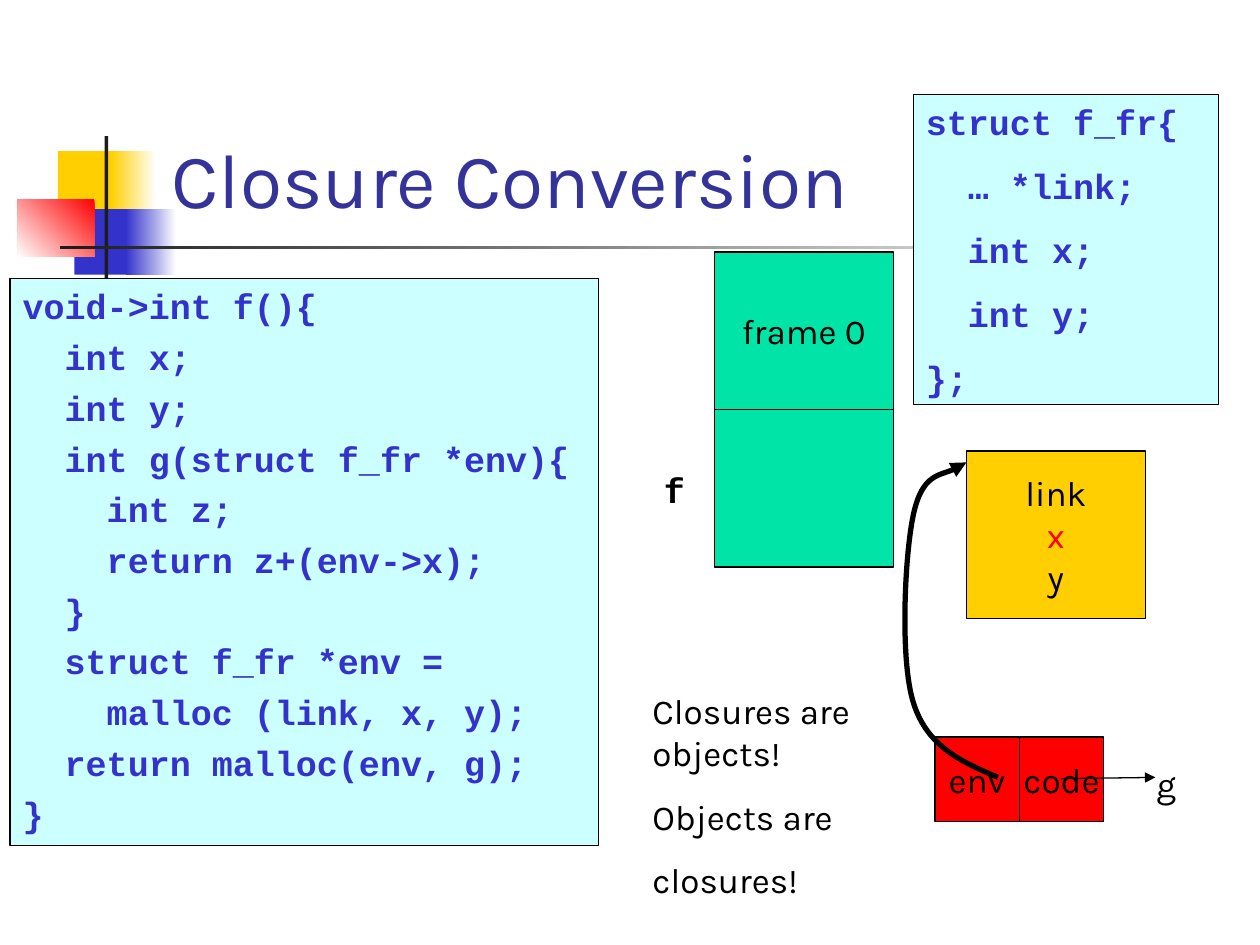
from lxml import etree
from pptx import Presentation
from pptx.dml.color import RGBColor
from pptx.enum.shapes import MSO_CONNECTOR, MSO_SHAPE
from pptx.enum.text import MSO_ANCHOR, MSO_AUTO_SIZE, PP_ALIGN
from pptx.oxml.ns import qn
from pptx.util import Inches, Pt

COLORS = {
    "black": "000000", "white": "FFFFFF", "ink": "1C1C1C", "title": "333399",
    "blue": "3333CC", "red": "FF0000", "gold": "FFCF01", "green": "00E4A8",
    "pale": "CCFFFF",
}
SANS, MONO = "Karla", "Courier New"

TITLE = "Closure Conversion"
CLOSURE_CODE = [
    "void->int f(){",
    "  int x;",
    "  int y;",
    "  int g(struct f_fr *env){",
    "    int z;",
    "    return z+(env->x);",
    "  }",
    "  struct f_fr *env =",
    "    malloc (link, x, y);",
    "  return malloc(env, g);",
    "}",
]
STRUCT_CODE = ["struct f_fr{", "  … *link;", "  int x;", "  int y;", "};"]
REMARKS = ["Closures are objects!", "Objects are", "closures!"]

ORNAMENTS = [
    ((0.46, 1.2, 0.48, 0.52), ["gold"], 0),
    ((0.88, 1.2, 0.36, 0.52), ["white", "gold"], 180),
    ((0.59, 1.66, 0.46, 0.52), ["blue"], 0),
    ((1, 1.66, 0.4, 0.52), ["white", "blue"], 180),
    ((0.14, 1.58, 0.61, 0.46), ["red", "white"], 225),
    ((0.83, 1.08, 0.03, 1.15), ["ink"], 0),
    ((0.48, 1.95, 9, 0.03), ["white", "ink"], 180),
]

FRAME_LEFT, FRAME_TOP, FRAME_WIDTH, FRAME_HEIGHT = 5.67, 2, 1.42, 1.25
CELL_LEFT, CELL_TOP, CELL_SIZE = 7.42, 5.85, 0.67
DIAGRAM = [
    *[((FRAME_LEFT, FRAME_TOP + row * FRAME_HEIGHT, FRAME_WIDTH, FRAME_HEIGHT), "green", lines)
      for row, lines in enumerate([["frame 0"], []])],
    ((7.67, 3.58, FRAME_WIDTH, 1.33), "gold", ["link", "x", "y"]),
    *[((CELL_LEFT + column * CELL_SIZE, CELL_TOP, CELL_SIZE, CELL_SIZE), "red", [name])
      for column, name in enumerate(["env", "code"])],
]
LABELS = [
    ((5.17, 3.67, 0.33, 0.44), ["f"], MONO, True),
    ((9.08, 6, 0.5, 0.44), ["g"], SANS, False),
    ((5.08, 5.42, 2.08, 1.78), REMARKS, SANS, False),
]
CODE_ARROW = [(8.42, 6.18), (9.17, 6.17)]
ENV_CURVE = [
    (7.92, 6.17),
    (7.64, 6.05), (7.36, 5.93), (7.25, 5.58),
    (7.14, 5.24), (7.18, 4.4), (7.25, 4.08),
    (7.32, 3.76), (7.6, 3.74), (7.67, 3.67),
]


def color(name):
    return RGBColor.from_string(COLORS[name])


def place(shape, area):
    shape.left, shape.top, shape.width, shape.height = map(Inches, area)


def outline(shape, width=0.75):
    shape.line.color.rgb = color("black")
    shape.line.width = Pt(width)


def paint(shape, name):
    shape.fill.solid()
    shape.fill.fore_color.rgb = color(name)


def add_box(page, area):
    box = page.shapes.add_shape(MSO_SHAPE.RECTANGLE, *map(Inches, area))
    box.shadow.inherit = False
    return box


def add_ornament(page, area, names, angle):
    box = add_box(page, area)
    box.line.fill.background()
    if len(names) == 1:
        paint(box, names[0])
        return
    box.fill.gradient()
    box.fill.gradient_angle = angle
    for stop, name in zip(box.fill.gradient_stops, names):
        stop.color.rgb = color(name)


def write(shape, lines, font=SANS, ink="black", bold=False, size=20, gap=0,
          align=PP_ALIGN.LEFT, anchor=MSO_ANCHOR.TOP, wrap=True):
    frame = shape.text_frame
    frame.text = "\n".join(lines)
    frame.auto_size = MSO_AUTO_SIZE.NONE
    frame.word_wrap = wrap
    frame.vertical_anchor = anchor
    for index, para in enumerate(frame.paragraphs):
        para.alignment = align
        para.space_before = Pt(gap if index else 0)
        if font == MONO:
            para.line_spacing = Pt(24)
        for span in para.runs:
            span.font.name = font
            span.font.size = Pt(size)
            span.font.bold = bold
            span.font.color.rgb = color(ink)


def hang_without_bullets(shape):
    for para in shape.text_frame.paragraphs:
        properties = para._p.get_or_add_pPr()
        properties.set("marL", str(Inches(0.38)))
        properties.set("indent", str(-Inches(0.38)))
        etree.SubElement(properties, qn("a:buNone"))


def add_arrowhead(shape):
    etree.SubElement(shape.line._get_or_add_ln(), qn("a:tailEnd"), type="triangle")


def add_curve(page, points):
    builder = page.shapes.build_freeform(*points[0], scale=Inches(1))
    builder = page.shapes.build_freeform(*map(Inches, points[0]))
    builder.add_line_segments([tuple(map(Inches, point)) for point in points[1:]], close=False)
    curve = builder.convert_to_shape()
    segments = list(curve.element.iter(qn("a:lnTo")))
    for start in range(0, len(segments), 3):
        bezier = etree.Element(qn("a:cubicBezTo"))
        segments[start].addprevious(bezier)
        for segment in segments[start:start + 3]:
            bezier.append(segment[0])
            segment.getparent().remove(segment)
    curve.shadow.inherit = False
    curve.fill.background()
    outline(curve, 3)
    add_arrowhead(curve)


def add_arrow(page, start, end):
    arrow = page.shapes.add_connector(MSO_CONNECTOR.STRAIGHT, *map(Inches, start + end))
    outline(arrow)
    add_arrowhead(arrow)
    etree.SubElement(arrow.element.spPr, qn("a:effectLst"))


def main():
    deck = Presentation()
    deck.slide_width, deck.slide_height = Inches(10), Inches(7.5)
    page = deck.slides.add_slide(deck.slide_layouts[1])
    title, body = page.placeholders

    for ornament in ORNAMENTS:
        add_ornament(page, *ornament)
    for holder in (title, body):
        holder.element.getparent().append(holder.element)

    place(title, (1.26, 0.23, 8.52, 1.6))
    write(title, [TITLE], ink="title", size=44, anchor=MSO_ANCHOR.BOTTOM)
    place(body, (0.08, 2.21, 4.67, 4.5))
    paint(body, "pale")
    outline(body)
    write(body, CLOSURE_CODE, MONO, "blue", True, gap=5)
    hang_without_bullets(body)

    for area, fill, lines in DIAGRAM:
        box = add_box(page, area)
        paint(box, fill)
        outline(box)
        write(box, lines, align=PP_ALIGN.CENTER, anchor=MSO_ANCHOR.MIDDLE, wrap=False)
        for para in box.text_frame.paragraphs:
            if para.text == "x":
                para.runs[0].font.color.rgb = color("red")

    for area, lines, font, bold in LABELS:
        label = page.shapes.add_textbox(*map(Inches, area))
        write(label, lines, font, bold=bold, gap=12.5)

    add_arrow(page, *CODE_ARROW)
    add_curve(page, ENV_CURVE)

    struct = add_box(page, (7.25, 0.75, 2.42, 2.46))
    paint(struct, "pale")
    outline(struct)
    write(struct, STRUCT_CODE, MONO, "blue", True, gap=12.5)
    deck.save("out.pptx")


if __name__ == "__main__":
    main()
